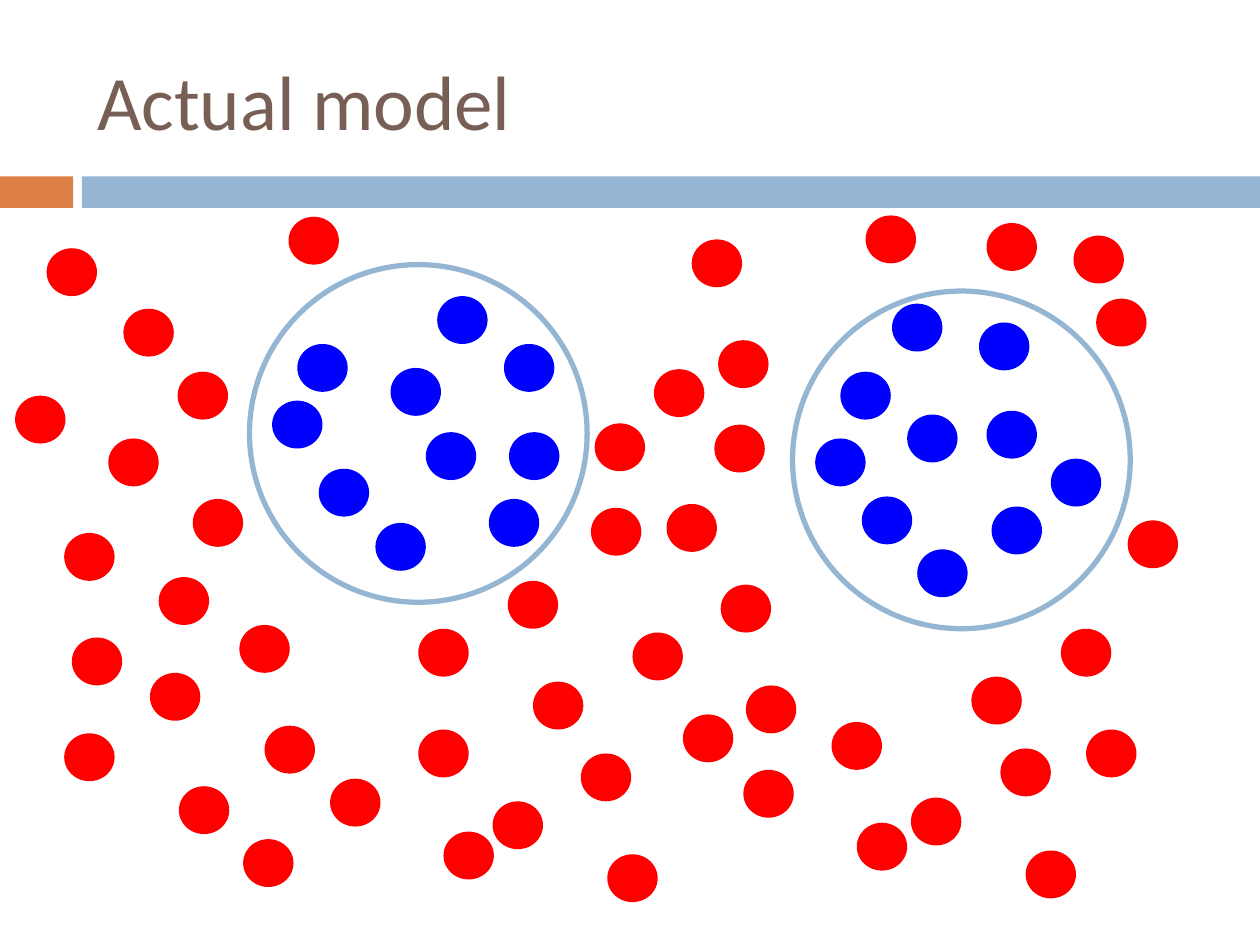
from dataclasses import dataclass

from pptx import Presentation
from pptx.dml.color import RGBColor
from pptx.enum.shapes import MSO_SHAPE
from pptx.enum.text import MSO_ANCHOR, PP_ALIGN
from pptx.util import Inches, Pt


@dataclass(frozen=True)
class Theme:
    font: str = "Calibri"
    title_size: int = 44
    title: str = "775F55"
    accent: str = "DD8047"
    band: str = "94B6D2"
    inside: str = "0000FF"
    outside: str = "FF0000"
    ring_width: int = 3


theme = Theme()
DOT_WIDTH, DOT_HEIGHT = 0.4, 0.38
RING_SIZE = 2.68

# Left and top of each dot and ring, in inches
left_cluster = [
    (2.36, 2.73), (2.53, 3.72), (3.1, 2.92), (3.38, 3.43), (3.47, 2.35),
    (4.04, 3.43), (2.98, 4.15), (4, 2.73), (3.88, 3.96), (2.16, 3.18),
]
right_cluster = [
    (6.67, 2.95), (6.84, 3.94), (7.2, 3.29), (7.83, 3.26), (7.77, 2.56),
    (8.34, 3.64), (7.28, 4.36), (7.87, 4.02), (7.08, 2.41), (6.47, 3.48),
]
rings = [(1.98, 2.1), (6.29, 2.31)]
outside_dots = [
    (3.32, 4.99), (4.03, 4.61), (4.23, 5.41), (7.71, 5.37), (8.42, 4.99),
    (8.62, 5.79), (5.9, 6.11), (6.6, 5.73), (6.8, 6.53), (5.02, 5.02),
    (5.72, 4.64), (5.92, 5.44), (3.91, 6.36), (4.61, 5.98), (4.82, 6.78),
    (2.62, 6.18), (3.32, 5.79), (3.52, 6.6), (1.19, 5.34), (1.9, 4.96),
    (2.1, 5.76), (5.42, 5.67), (1.93, 6.66), (0.51, 5.82), (1.42, 6.24),
    (1.26, 4.58), (0.57, 5.06), (0.51, 4.23), (7.23, 6.33), (7.94, 5.94),
    (8.14, 6.75), (4.69, 4.03), (1.41, 2.95), (4.72, 3.36), (1.53, 3.96),
    (5.67, 3.37), (5.49, 1.9), (5.7, 2.7), (5.19, 2.93), (5.29, 4),
    (2.29, 1.72), (0.98, 2.45), (0.86, 3.48), (0.12, 3.14), (0.37, 1.97),
    (6.87, 1.71), (8.52, 1.87), (7.83, 1.77), (8.95, 4.13), (8.7, 2.37),
]

presentation = Presentation()
presentation.slide_width = Inches(10)
presentation.slide_height = Inches(7.5)
slide = presentation.slides.add_slide(presentation.slide_layouts[5])


def add_shape(kind, left, top, width, height, fill=None, line=None):
    shape = slide.shapes.add_shape(
        kind, Inches(left), Inches(top), Inches(width), Inches(height))
    shape.shadow.inherit = False
    if fill:
        shape.fill.solid()
        shape.fill.fore_color.rgb = RGBColor.from_string(fill)
    else:
        shape.fill.background()
    if line:
        shape.line.color.rgb = RGBColor.from_string(line)
        shape.line.width = Pt(theme.ring_width)
    else:
        shape.line.fill.background()


# Title
title = slide.shapes.title
title.left, title.top = Inches(0.67), Inches(0.25)
title.width, title.height = Inches(8.92), Inches(1.08)
title.text_frame.word_wrap = True
title.text_frame.vertical_anchor = MSO_ANCHOR.MIDDLE
paragraph = title.text_frame.paragraphs[0]
paragraph.alignment = PP_ALIGN.LEFT
run = paragraph.add_run()
run.text = "Actual model"
run.font.name = theme.font
run.font.size = Pt(theme.title_size)
run.font.color.rgb = RGBColor.from_string(theme.title)

# Band below the title
add_shape(MSO_SHAPE.RECTANGLE, 0, 1.4, 0.58, 0.25, fill=theme.accent)
add_shape(MSO_SHAPE.RECTANGLE, 0.65, 1.4, 9.35, 0.25, fill=theme.band)

# Two clusters with their rings, then the points around them
for dots, color in (
    (left_cluster, theme.inside),
    (right_cluster, theme.inside),
    (outside_dots, theme.outside),
):
    for left, top in dots:
        add_shape(MSO_SHAPE.OVAL, left, top, DOT_WIDTH, DOT_HEIGHT, fill=color)

for left, top in rings:
    add_shape(MSO_SHAPE.OVAL, left, top, RING_SIZE, RING_SIZE, line=theme.band)

presentation.save("out.pptx")
